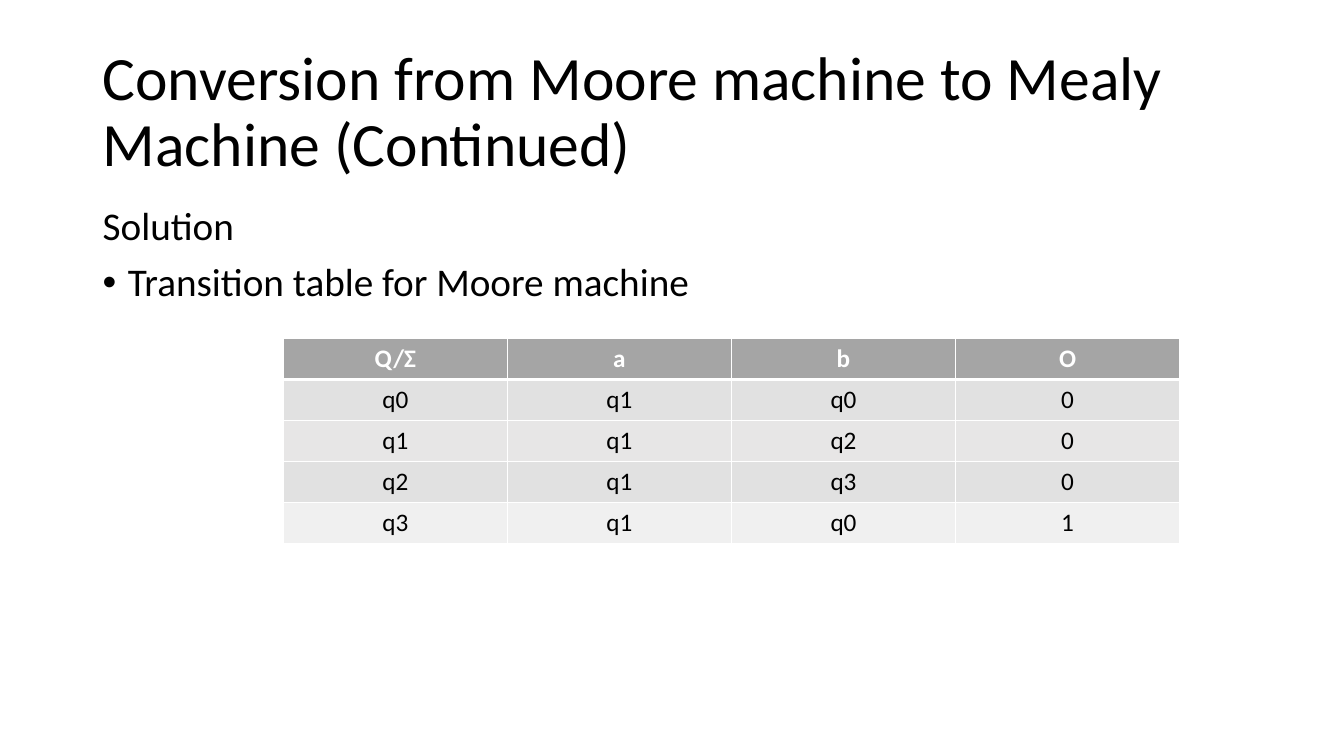
from dataclasses import dataclass

from lxml import etree
from pptx import Presentation
from pptx.dml.color import RGBColor
from pptx.enum.text import MSO_ANCHOR, PP_ALIGN
from pptx.oxml.ns import qn
from pptx.util import Inches, Pt

CENTER = PP_ALIGN.CENTER
MIDDLE = MSO_ANCHOR.MIDDLE
TOP = MSO_ANCHOR.TOP


@dataclass(frozen=True)
class Theme:
    font: str = "Calibri"
    ink: str = "000000"
    paper: str = "FFFFFF"
    head: str = "A5A5A5"
    rows: tuple = ("E1E1E1", "E7E6E6", "E1E1E1", "F0F0F0")
    title: int = 44
    body: int = 28
    cell: int = 18
    thin: int = 1
    thick: int = 3


THEME = Theme()
STATES = (
    ("Q/Σ", "a", "b", "O"),
    ("q0", "q1", "q0", "0"),
    ("q1", "q1", "q2", "0"),
    ("q2", "q1", "q3", "0"),
    ("q3", "q1", "q0", "1"),
)


def add_run(para, text, size, color=THEME.ink, bold=False):
    run = para.add_run()
    run.text = text
    font = run.font
    font.name = THEME.font
    font.size = Pt(size)
    font.bold = bold
    font.color.rgb = RGBColor.from_string(color)


def add_bullet(para):
    props = para._p.get_or_add_pPr()
    props.set("marL", str(Inches(0.25)))
    props.set("indent", str(Inches(-0.25)))
    etree.SubElement(props, qn("a:buFont"), typeface="Arial")
    etree.SubElement(props, qn("a:buChar"), char="•")


def add_text(slide, top, height, size, anchor, lines):
    box = slide.shapes.add_textbox(Inches(0.92), Inches(top), Inches(11.5), Inches(height))
    frame = box.text_frame
    frame.word_wrap = True
    frame.vertical_anchor = anchor
    for i, (text, bullet) in enumerate(lines):
        para = frame.add_paragraph() if i else frame.paragraphs[0]
        if bullet:
            add_bullet(para)
        para.line_spacing = 0.9
        if i:
            para.space_before = Pt(10)
        add_run(para, text, size)


def add_edge(cell, side, width):
    props = cell._tc.get_or_add_tcPr()
    line = etree.SubElement(props, qn(f"a:ln{side}"), w=str(Pt(width)))
    fill = etree.SubElement(line, qn("a:solidFill"))
    etree.SubElement(fill, qn("a:srgbClr"), val=THEME.paper)


def style_cell(cell, text, row):
    head = row == 0
    widths = {
        "L": THEME.thin,
        "R": THEME.thin,
        "T": THEME.thick if row == 1 else THEME.thin,
        "B": THEME.thick if head else THEME.thin,
    }
    for side, width in widths.items():
        add_edge(cell, side, width)
    cell.fill.solid()
    color = THEME.head if head else THEME.rows[row - 1]
    cell.fill.fore_color.rgb = RGBColor.from_string(color)
    para = cell.text_frame.paragraphs[0]
    para.alignment = CENTER
    add_run(para, text, THEME.cell, THEME.paper if head else THEME.ink, head)


def add_grid(slide, data):
    frame = slide.shapes.add_table(
        len(data), len(data[0]), Inches(2.81), Inches(3.36), Inches(8.89), Inches(2.03)
    )
    for r, row in enumerate(data):
        for c, text in enumerate(row):
            style_cell(frame.table.cell(r, c), text, r)


def main():
    deck = Presentation()
    deck.slide_width = Inches(13.33)
    deck.slide_height = Inches(7.5)
    slide = deck.slides.add_slide(deck.slide_layouts[6])
    title = "Conversion from Moore machine to Mealy Machine (Continued)"
    add_text(slide, 0.4, 1.45, THEME.title, MIDDLE, [(title, False)])
    lines = [("Solution", False), ("Transition table for Moore machine", True)]
    add_text(slide, 2, 4.76, THEME.body, TOP, lines)
    add_grid(slide, STATES)
    deck.save("out.pptx")


if __name__ == "__main__":
    main()
